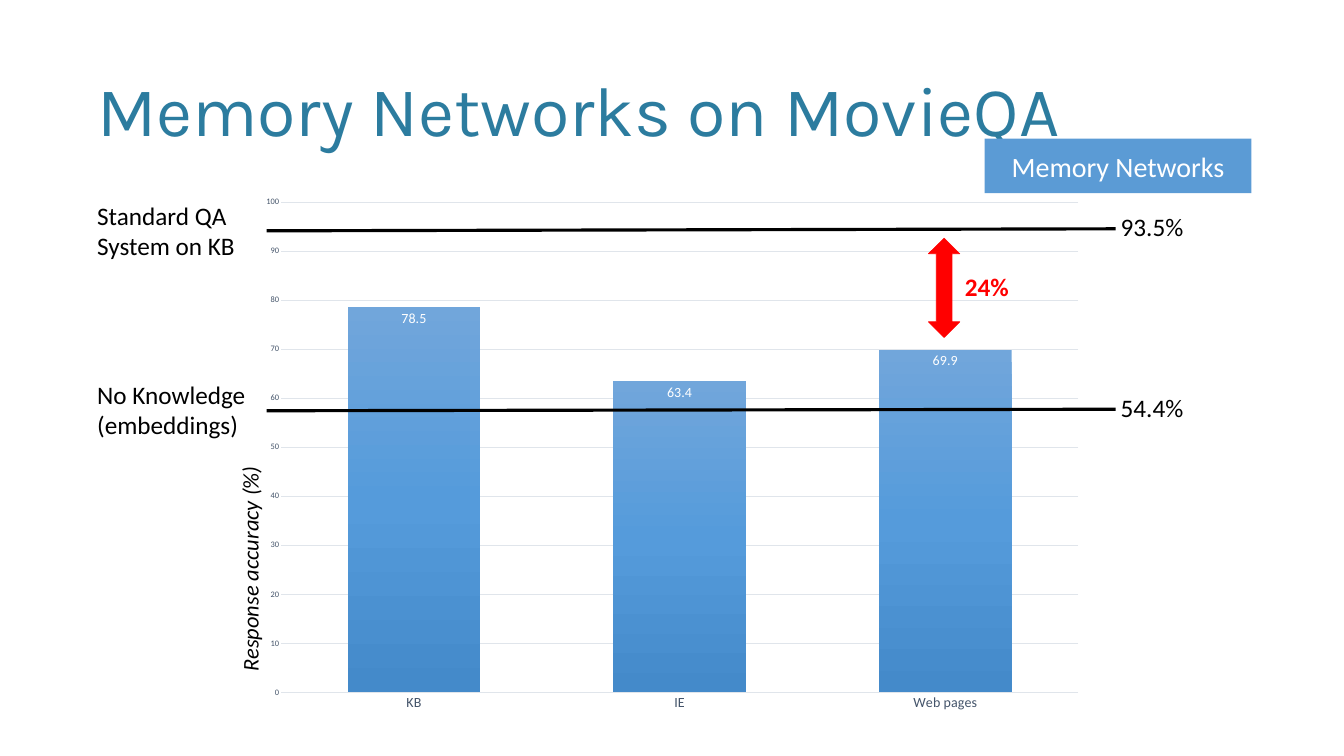
"""Build the slide comparing Memory Networks on MovieQA with two baselines."""
import lxml.etree
import pptx
import pptx.chart.data
import pptx.dml.color
import pptx.enum.chart
import pptx.enum.shapes
import pptx.enum.text
import pptx.oxml
import pptx.oxml.ns
import pptx.util

Inches, Pt = pptx.util.Inches, pptx.util.Pt
qn = pptx.oxml.ns.qn

COLORS = {"title": "2C7C9F", "ink": "000000", "gap": "FF0000", "badge": "5B9BD5",
          "white": "FFFFFF", "axis": "44546A", "grid": "E0E5EB"}
BAR_GRADIENT = [(0, "71A6DB"), (50, "559BDB"), (100, "448ACA")]
ACCURACY = {"KB": 78.5, "IE": 63.4, "Web pages": 69.9}
BASELINES = [
    {"name": ["No Knowledge", "(embeddings)"], "score": "54.4%",
     "name_top": 7.47, "score_top": 7.74, "line": (8.15, 8.12)},
    {"name": ["Standard QA", "System on KB"], "score": "93.5%",
     "name_top": 3.92, "score_top": 4.14, "line": (4.58, 4.54)},
]
LINE_LEFT, LINE_RIGHT, NAME_LEFT = 5.29, 22.14, 1.83
PLOT_LAYOUT = {"x": 0.038, "y": 0.029, "w": 0.942, "h": 0.914}


def rgb(name):
    return pptx.dml.color.RGBColor.from_string(COLORS[name])


def style(font, size, color, face="Calibri"):
    font.size, font.name = Pt(size), face
    font.color.rgb = rgb(color)


def write(shape, lines, size, color, face="Calibri"):
    frame = shape.text_frame
    frame.word_wrap = True
    frame.text = "\n".join(lines)
    for paragraph in frame.paragraphs:
        style(paragraph.font, size, color, face)
    return frame


def add_text(slide, box, lines, size=36, color="ink", face="Calibri"):
    label = slide.shapes.add_textbox(*map(Inches, box))
    write(label, lines, size, color, face)
    return label


def add_block(slide, preset, box, color):
    block = slide.shapes.add_shape(preset, *map(Inches, box))
    block.shadow.inherit = False
    block.fill.solid()
    block.fill.fore_color.rgb = rgb(color)
    block.line.fill.background()
    return block


def add_accuracy_chart(slide):
    data = pptx.chart.data.CategoryChartData()
    data.categories = list(ACCURACY)
    data.add_series("Series 1", list(ACCURACY.values()))
    chart = slide.shapes.add_chart(
        pptx.enum.chart.XL_CHART_TYPE.COLUMN_CLUSTERED,
        *map(Inches, (4.94, 3.7, 16.79, 10.64)), data).chart
    chart.has_legend = chart.has_title = False
    style(chart.font, 10, "ink")

    for axis, size in ((chart.category_axis, 20), (chart.value_axis, 12)):
        axis.major_tick_mark = pptx.enum.chart.XL_TICK_MARK.NONE
        axis.minor_tick_mark = pptx.enum.chart.XL_TICK_MARK.NONE
        style(axis.tick_labels.font, size, "axis")
    scores = chart.value_axis
    scores.minimum_scale, scores.maximum_scale, scores.major_unit = 0, 100, 10
    scores.format.line.fill.background()
    for line in (scores.major_gridlines.format.line, chart.category_axis.format.line):
        line.color.rgb = rgb("grid")
        line.width = Pt(0.75)

    plot = chart.plots[0]
    plot.gap_width, plot.overlap, plot.vary_by_categories = 100, -24, False
    bars = plot.series[0]
    labels = bars.data_labels
    labels.show_value = True
    labels.position = pptx.enum.chart.XL_LABEL_POSITION.INSIDE_END
    style(labels.font, 20, "white")

    fill = bars.format.fill
    fill.gradient()
    fill.gradient_angle = 270
    stops = bars._element.find(".//" + qn("a:gsLst"))
    for stop in list(stops):
        stops.remove(stop)
    for position, color in BAR_GRADIENT:
        stop = lxml.etree.SubElement(stops, qn("a:gs"), pos=str(position * 1000))
        lxml.etree.SubElement(stop, qn("a:srgbClr"), val=color)

    area = chart._chartSpace.find(".//" + qn("c:plotArea"))
    for layout in area.findall(qn("c:layout")):
        area.remove(layout)
    layout = pptx.oxml.parse_xml(f"<c:layout {pptx.oxml.ns.nsdecls('c')}/>")
    area.insert(0, layout)
    manual = lxml.etree.SubElement(layout, qn("c:manualLayout"))
    settings = {"layoutTarget": "inner", "xMode": "edge", "yMode": "edge", **PLOT_LAYOUT}
    for tag, value in settings.items():
        lxml.etree.SubElement(manual, qn("c:" + tag), val=str(value))


def add_baseline_line(slide, start, end):
    line = slide.shapes.add_connector(
        pptx.enum.shapes.MSO_CONNECTOR.STRAIGHT,
        *map(Inches, (LINE_LEFT, start, LINE_RIGHT, end)))
    line.line.color.rgb = rgb("ink")
    line.line.width = Pt(4.5)
    lxml.etree.SubElement(line._element.spPr, qn("a:effectLst"))


def main():
    deck = pptx.Presentation()
    deck.slide_width, deck.slide_height = Inches(26.67), Inches(15)
    slide = deck.slides.add_slide(deck.slide_layouts[6])
    middle = pptx.enum.text.MSO_ANCHOR.MIDDLE

    title = add_text(slide, (1.83, 0.8, 23, 2.9), ["Memory Networks on MovieQA"],
                     100, "title", "Karla")
    title.text_frame.vertical_anchor = middle
    title.text_frame.paragraphs[0].line_spacing = 0.9

    add_accuracy_chart(slide)
    for baseline in BASELINES:
        add_baseline_line(slide, *baseline["line"])
    for baseline in BASELINES:
        add_text(slide, (NAME_LEFT, baseline["name_top"], 4.72, 1.31), baseline["name"])
        add_text(slide, (LINE_RIGHT, baseline["score_top"], 4.5, 0.71), [baseline["score"]])

    presets = pptx.enum.shapes.MSO_SHAPE
    gap_arrow = add_block(slide, presets.LEFT_RIGHT_ARROW, (17.75, 5.4, 1.97, 0.62), "gap")
    gap_arrow.rotation = 90
    gap_arrow.line.color.rgb = rgb("gap")
    gap_arrow.line.width = Pt(1)
    gap = add_text(slide, (19.05, 5.33, 4.72, 0.71), ["24%"], color="gap")
    gap.text_frame.paragraphs[0].font.bold = True

    badge = add_block(slide, presets.RECTANGLE, (19.54, 2.75, 5.29, 1.08), "badge")
    badge_text = write(badge, ["Memory Networks"], 40, "white")
    badge_text.vertical_anchor = middle
    badge_text.paragraphs[0].alignment = pptx.enum.text.PP_ALIGN.CENTER

    axis_name = add_text(slide, (2.36, 10.5, 5.2, 0.64), ["Response accuracy (%)"], 32)
    axis_name.rotation = 270
    axis_name.text_frame.paragraphs[0].font.italic = True

    deck.save("out.pptx")


if __name__ == "__main__":
    main()
